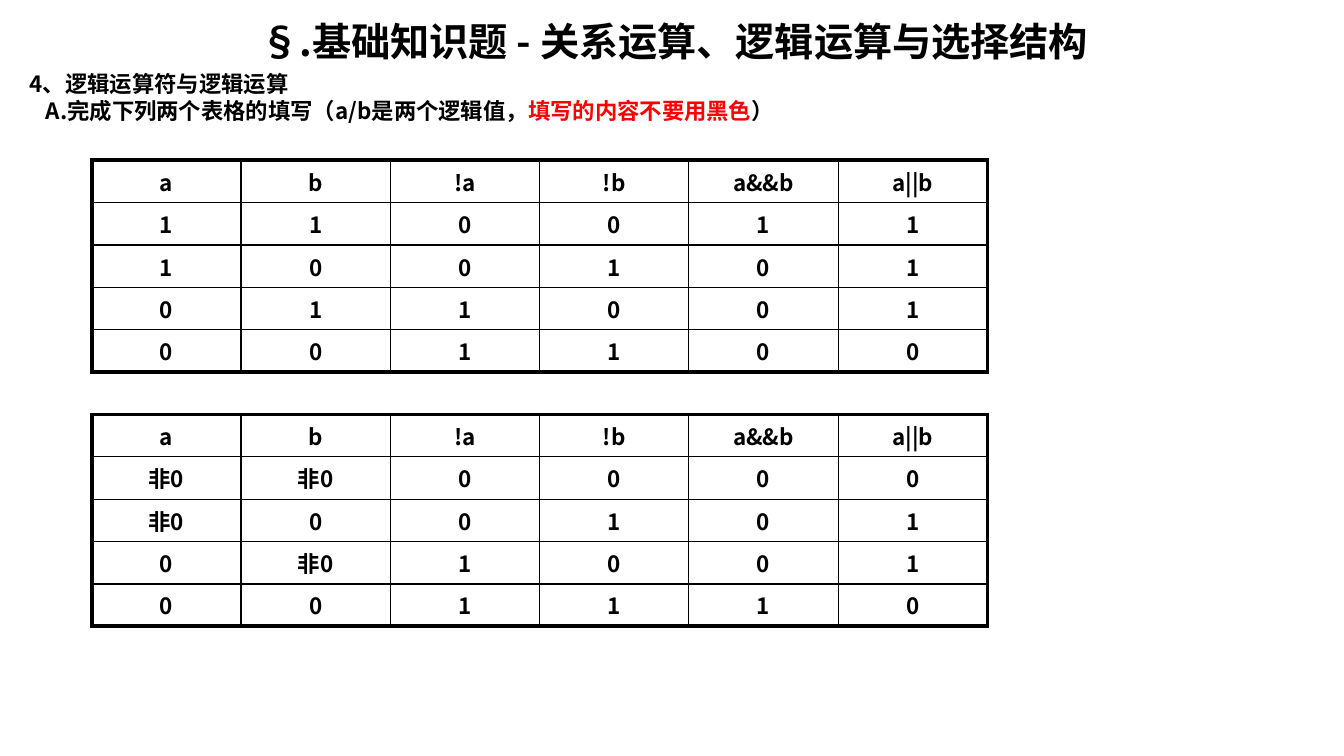
from dataclasses import dataclass
from lxml.etree import SubElement
from pptx import Presentation
from pptx.dml.color import RGBColor
from pptx.enum.text import MSO_ANCHOR as Anchor, MSO_AUTO_SIZE as AutoSize, PP_ALIGN as Align
from pptx.oxml.ns import qn
from pptx.util import Pt


@dataclass(frozen=True)
class Theme:
    font: str = "Noto Sans CJK SC"
    black: RGBColor = RGBColor(0, 0, 0)
    white: RGBColor = RGBColor(255, 255, 255)
    red: RGBColor = RGBColor(255, 0, 0)
    title_size: int = 28
    text_size: int = 16
    frame_line: int = 3
    grid_line: int = 1


theme = Theme()


def format_paragraph(paragraph, size, alignment):
    paragraph.alignment = alignment
    font = paragraph.font
    font.name, font.size, font.bold = theme.font, Pt(size), True
    font.color.rgb = theme.black
    properties = paragraph._p.pPr.find(qn("a:defRPr"))
    SubElement(properties, qn("a:ea"), typeface=theme.font)


def add_border(cell, side, width):
    line = SubElement(cell._tc.get_or_add_tcPr(), qn(f"a:ln{side}"), w=str(Pt(width)))
    fill = SubElement(line, qn("a:solidFill"))
    SubElement(fill, qn("a:srgbClr"), val=str(theme.black))


presentation = Presentation()
presentation.slide_width, presentation.slide_height = Pt(960), Pt(540)
slide = presentation.slides.add_slide(presentation.slide_layouts[1])
title, body = slide.placeholders

for shape, top, height in ((title, 12.5, 36), (body, 49, 54)):
    shape.left, shape.top, shape.width, shape.height = Pt(14), Pt(top), Pt(935), Pt(height)
    frame = shape.text_frame
    frame.word_wrap = True
    frame.auto_size = AutoSize.NONE
    frame.vertical_anchor = Anchor.TOP

title.text_frame.text = "§.基础知识题 - 关系运算、逻辑运算与选择结构"
heading = title.text_frame.paragraphs[0]
heading.line_spacing = 0.9
format_paragraph(heading, theme.title_size, Align.CENTER)

body.text_frame.text = "4、逻辑运算符与逻辑运算\nA.完成下列两个表格的填写（a/b是两个逻辑值，"
section, task = body.text_frame.paragraphs
warning = task.add_run()
warning.text = "填写的内容不要用黑色"
warning.font.color.rgb = theme.red
task.add_run().text = "）"
for paragraph, indent in ((section, 0), (task, 11.5)):
    format_paragraph(paragraph, theme.text_size, Align.LEFT)
    paragraph.line_spacing = 0.9
    paragraph.space_before = Pt(2)
    properties = paragraph._p.pPr
    properties.set("marL", str(Pt(indent)))
    properties.set("indent", "0")
    properties.insert_element_before(properties.makeelement(qn("a:buNone")), "a:defRPr")

header = ["a", "b", "!a", "!b", "a&&b", "a||b"]
truth_tables = [
    (114.5, [
        header,
        ["1", "1", "0", "0", "1", "1"],
        ["1", "0", "0", "1", "0", "1"],
        ["0", "1", "1", "0", "0", "1"],
        ["0", "0", "1", "1", "0", "0"],
    ]),
    (296, [
        header,
        ["非0", "非0", "0", "0", "0", "0"],
        ["非0", "0", "0", "1", "0", "1"],
        ["0", "非0", "1", "0", "0", "1"],
        ["0", "0", "1", "1", "1", "0"],
    ]),
]

for top, rows in truth_tables:
    last_row, last_column = len(rows) - 1, len(header) - 1
    table = slide.shapes.add_table(
        len(rows), len(header), Pt(65.5), Pt(top), Pt(640), Pt(146)).table
    table.first_row = table.horz_banding = False
    for row, values in enumerate(rows):
        for column, value in enumerate(values):
            cell = table.cell(row, column)
            cell.text = value
            cell.vertical_anchor = Anchor.MIDDLE
            format_paragraph(cell.text_frame.paragraphs[0], theme.text_size, Align.CENTER)
            outer_sides = (("L", column == 0), ("R", column == last_column),
                           ("T", row == 0), ("B", row == last_row))
            for side, is_outer in outer_sides:
                add_border(cell, side, theme.frame_line if is_outer else theme.grid_line)
            cell.fill.solid()
            cell.fill.fore_color.rgb = theme.white

presentation.save("out.pptx")
